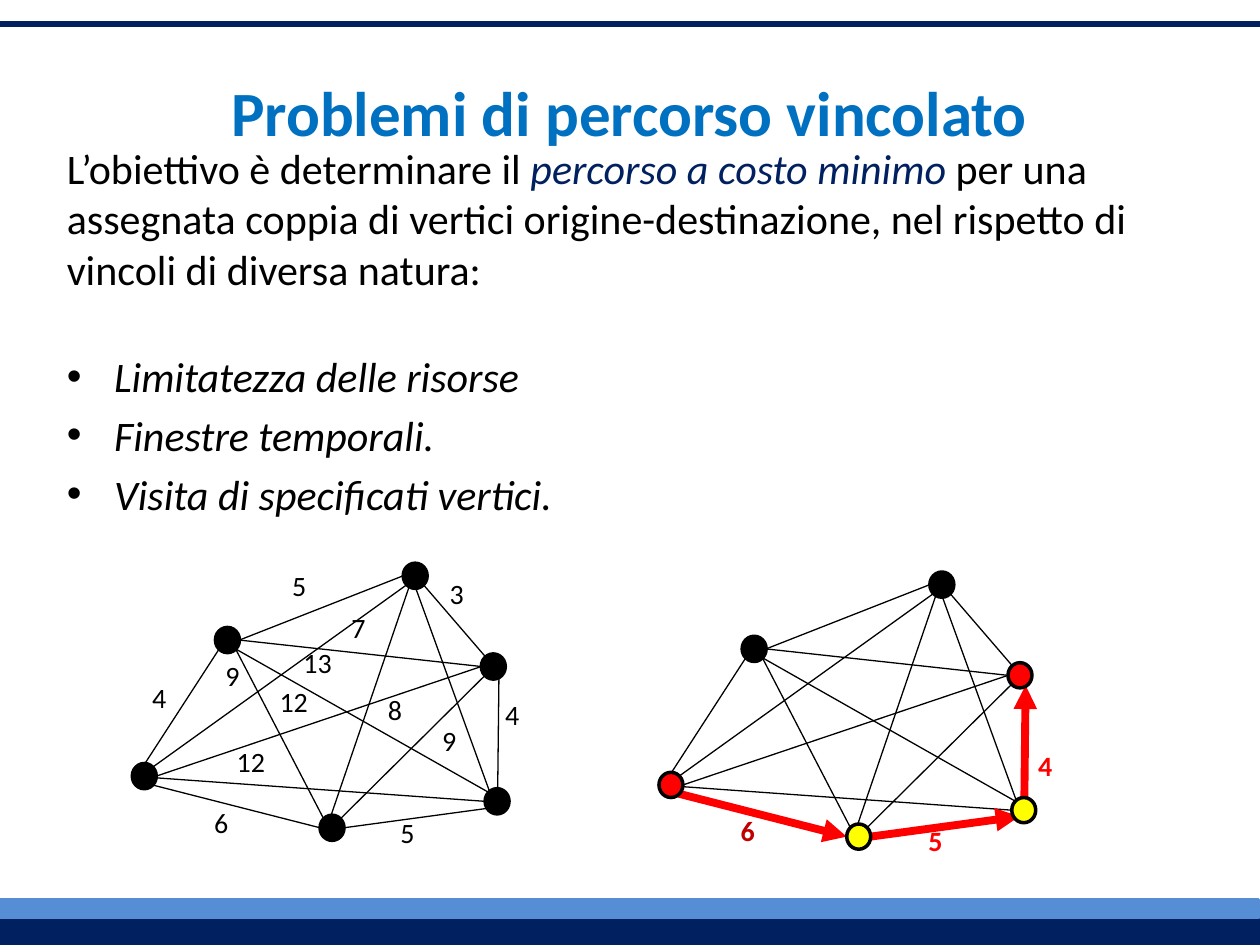
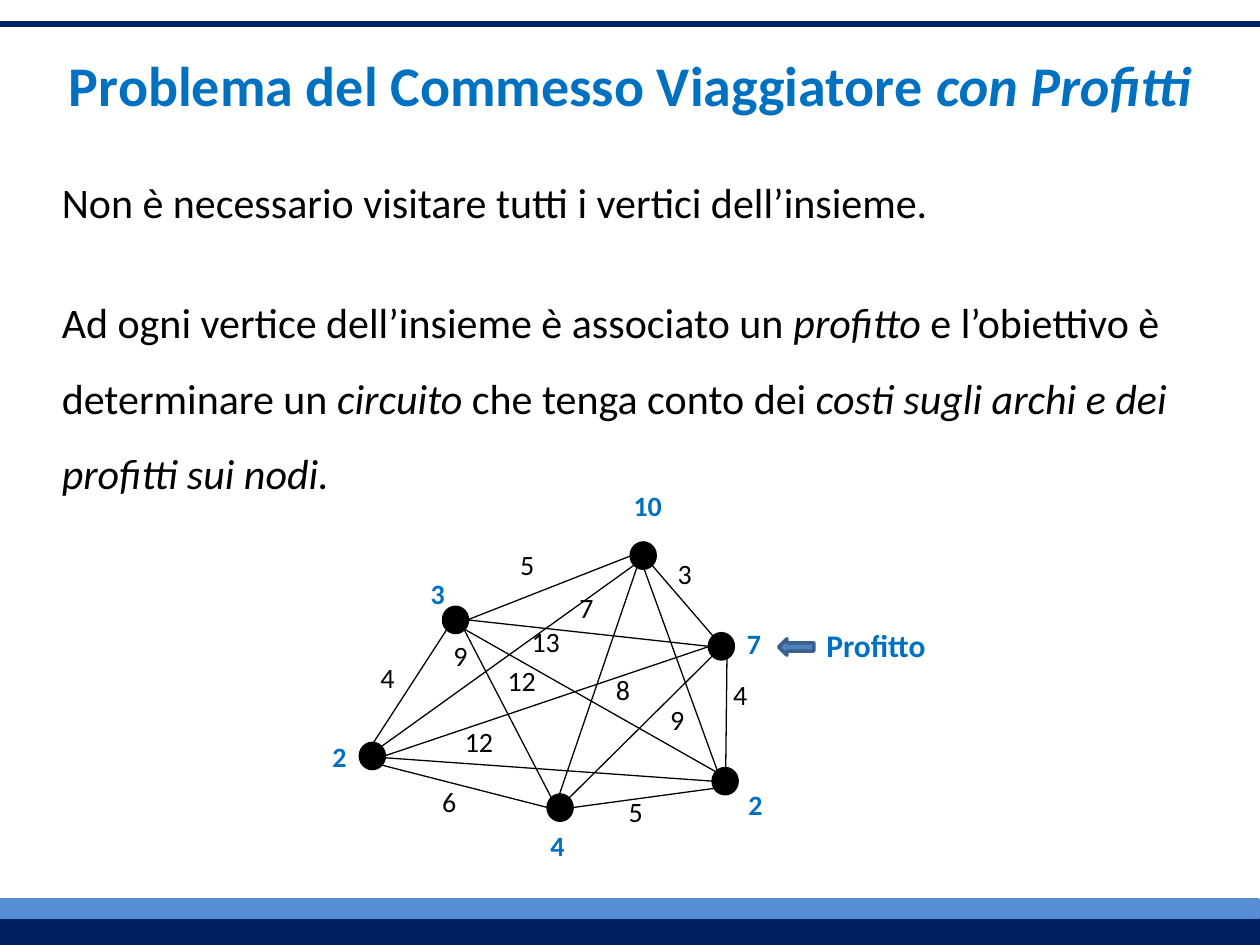
from lxml.etree import SubElement
from pptx import Presentation
from pptx.dml.color import RGBColor
from pptx.enum.shapes import MSO_CONNECTOR as Link, MSO_SHAPE as Shape
from pptx.enum.text import MSO_ANCHOR as Anchor, MSO_AUTO_SIZE as Fit
from pptx.oxml.ns import qn
from pptx.util import Pt

PX = 9144  # 100 px to the inch
NAVY, SKY, BLUE = "002060", "558ED5", "0070C0"
BLACK, RED, DARK_RED, YELLOW = "000000", "FF0000", "C00000", "FFFF00"

# Graph: vertices by top left corner, from the graph's own origin
VERTEX_W, VERTEX_H = 19, 20
VERTICES = {"west": (0, 159), "northwest": (66, 51), "north": (215, 0),
            "east": (277, 72), "southeast": (280, 179), "south": (149, 200)}

# Points of a vertex where edges end
SITES = {"t": (10, 0), "tr": (16, 3), "r": (19, 10), "br": (16, 17),
         "b": (10, 20), "bl": (3, 17), "l": (0, 10), "tl": (3, 3),
         "low": (14, 18), "inner": (6, 15)}
EDGES = [
    ("west", "r", "east", "l"), ("west", "br", "south", "l"),
    ("north", "br", "east", "br"), ("west", "t", "northwest", "bl"),
    ("northwest", "r", "north", "l"), ("northwest", "br", "south", "tl"),
    ("west", "tr", "north", "bl"), ("west", "l", "southeast", "l"),
    ("northwest", "r", "east", "l"), ("northwest", "br", "southeast", "tl"),
    ("southeast", "t", "east", "low"), ("south", "r", "southeast", "inner"),
    ("east", "bl", "south", "tr"), ("north", "b", "southeast", "b"),
    ("south", "bl", "north", "inner"),
]
COSTS = [("5", 117, -1), ("4", 6, 88), ("6", 55, 187), ("3", 242, 6),
         ("5", 203, 195), ("4", 286, 102), ("12", 73, 139), ("12", 107, 91),
         ("9", 64, 71), ("8", 193, 98), ("7", 164, 33), ("9", 236, 122),
         ("13", 126, 60)]


def rgb(color):
    return RGBColor.from_string(color)


def px(*lengths):
    return [length * PX for length in lengths]


def apply(target, **values):
    for name, value in values.items():
        setattr(target, name, value)


class Slides:
    def __init__(self):
        self.font = "Calibri"
        self.deck = Presentation()
        apply(self.deck, slide_width=1000 * PX, slide_height=750 * PX)
        self.page = None

    def new_page(self):
        self.page = self.deck.slides.add_slide(self.deck.slide_layouts[1])

    def to_master(self, *shapes):
        tree = self.deck.slide_master.shapes.element
        for place, shape in enumerate(shapes, 2):
            tree.insert(place, shape.element)

    def spans(self, para, parts, size, color, bold=False):
        """Each part is a text, or a tuple of text, italic and colour."""
        for part in parts:
            text, italic, own = (part, False, color) if isinstance(part, str) else part
            span = para.add_run()
            span.text = text
            apply(span.font, name=self.font, size=Pt(size), bold=bold, italic=italic)
            span.font.color.rgb = rgb(own or color)

    def placeholder(self, index, at):
        box = self.page.placeholders[index]
        left, top, width, height = px(*at)
        apply(box, left=left, top=top, width=width, height=height)
        apply(box.text_frame, word_wrap=True, auto_size=Fit.NONE,
              vertical_anchor=Anchor.TOP)
        return box.text_frame

    def title(self, parts, at, size, spacing=1.0):
        para = self.placeholder(0, at).paragraphs[0]
        para.line_spacing = spacing
        self.spans(para, parts, size, BLUE, bold=True)

    def body(self, paragraphs, at):
        """Each paragraph is its parts, a bullet flag and its spacing."""
        frame = self.placeholder(1, at)
        for number, (parts, bullet, spacing) in enumerate(paragraphs):
            para = frame.add_paragraph() if number else frame.paragraphs[0]
            apply(para, **spacing)
            if not bullet:
                props = para._p.get_or_add_pPr()
                props.set("marL", "0")
                props.set("indent", "0")
                SubElement(props, qn("a:buNone"))
            self.spans(para, parts, 24, BLACK)

    def label(self, text, at, color=BLACK, bold=False, size=16):
        box = self.page.shapes.add_textbox(*px(*at))
        apply(box.text_frame, word_wrap=False, auto_size=Fit.SHAPE_TO_FIT_TEXT)
        self.spans(box.text_frame.paragraphs[0], [text], size, color, bold)

    def bold_label(self, text, left, top, color):
        self.label(text, (left, top, 32 if len(text) == 1 else 43, 37), color, True)

    def shape(self, kind, at, fill, line=None):
        shape = self.page.shapes.add_shape(kind, *px(*at))
        shape.shadow.inherit = False
        shape.fill.solid()
        shape.fill.fore_color.rgb = rgb(fill)
        shape.line.color.rgb = rgb(line or fill)
        shape.line.width = Pt(2)
        return shape

    def line(self, ends, color=BLACK, width=0.75, arrow=False):
        line = self.page.shapes.add_connector(Link.STRAIGHT, *px(*ends))
        line.line.color.rgb = rgb(color)
        line.line.width = Pt(width)
        props = line.element.spPr
        if arrow:
            SubElement(props.find(qn("a:ln")), qn("a:tailEnd"), type="triangle")
        SubElement(props, qn("a:effectLst"))
        return line

    def graph(self, left, top, route=(), fills=None, costs=True):
        """Edges whose end vertices are in route become red arrows."""
        def point(vertex, site):
            (x, y), (dx, dy) = VERTICES[vertex], SITES[site]
            return left + x + dx, top + y + dy

        for start, start_site, end, end_site in EDGES:
            ends = point(start, start_site) + point(end, end_site)
            if (start, end) in route:
                self.line(ends, RED, 4.5, arrow=True)
            else:
                self.line(ends)
        for name, (x, y) in VERTICES.items():
            at = (left + x, top + y, VERTEX_W, VERTEX_H)
            self.shape(Shape.OVAL, at, (fills or {}).get(name, BLACK), BLACK)
        if costs:
            for text, x, y in COSTS:
                self.label(text, (left + x, top + y, 38 if len(text) == 1 else 52, 48))


def constrained_path(show):
    show.new_page()
    # Line and bands shared by all pages
    show.to_master(
        show.line((0, 19, 1000, 19), NAVY, 3),
        show.shape(Shape.RECTANGLE, (0, 728, 1000, 22), NAVY),
        show.shape(Shape.RECTANGLE, (-1, 714, 1000, 14), SKY))

    show.title(["Problemi di percorso vincolato"], (-32, -7, 1063, 114), 36, 2.0)
    show.body([
        (["L’obiettivo è determinare il ", ("percorso a costo minimo", True, NAVY),
          " per una assegnata coppia di vertici origine-destinazione, "
          "nel rispetto di vincoli di diversa natura:"], False, {}),
        ([("Limitatezza delle risorse", True, None)], True, {"space_before": Pt(32.5)}),
        ([("Finestre temporali.", True, None)], True, {}),
        ([("Visita di specificati vertici.", True, None)], True, {}),
    ], (43, 108, 913, 495))

    # Path from west to east, then the graph with all costs
    stops = ["west", "south", "southeast", "east"]
    show.graph(523, 454, route=list(zip(stops, stops[1:])), costs=False,
               fills=dict(zip(stops, [RED, YELLOW, YELLOW, RED])))
    show.bold_label("6", 578, 641, DARK_RED)
    show.bold_label("5", 727, 649, RED)
    show.bold_label("4", 814, 589, RED)
    show.graph(105, 447)


def salesman_with_profits(show):
    show.new_page()
    show.title(["Problema del Commesso Viaggiatore ", ("con Profitti", True, None)],
               (8, 35, 984, 64), 32)
    show.body([
        (["Non è necessario visitare tutti i vertici dell’insieme."], False,
         {"line_spacing": 1.5, "space_before": Pt(0)}),
        (["Ad ogni vertice dell’insieme è associato un ", ("profitto", True, None),
          " e l’obiettivo è determinare un ", ("circuito ", True, None),
          "che tenga conto dei ",
          ("costi sugli archi e dei profitti sui nodi.", True, None)], False,
         {"line_spacing": 1.5, "space_before": Pt(25.5)}),
    ], (39, 115, 921, 473))

    # Graph with a profit beside each vertex
    show.graph(286, 431)
    for profit, left, top in [("3", 332, 453), ("2", 254, 582), ("4", 427, 653),
                              ("10", 493, 383), ("7", 583, 492), ("2", 584, 620)]:
        show.bold_label(profit, left, top, BLUE)
    show.label("Profitto", (646, 492, 104, 40), BLUE, True, 18)
    show.shape(Shape.LEFT_ARROW, (618, 507, 28, 13), "4F81BD", "3A5F8C")


def main():
    show = Slides()
    constrained_path(show)
    salesman_with_profits(show)
    show.deck.save("out.pptx")


if __name__ == "__main__":
    main()
